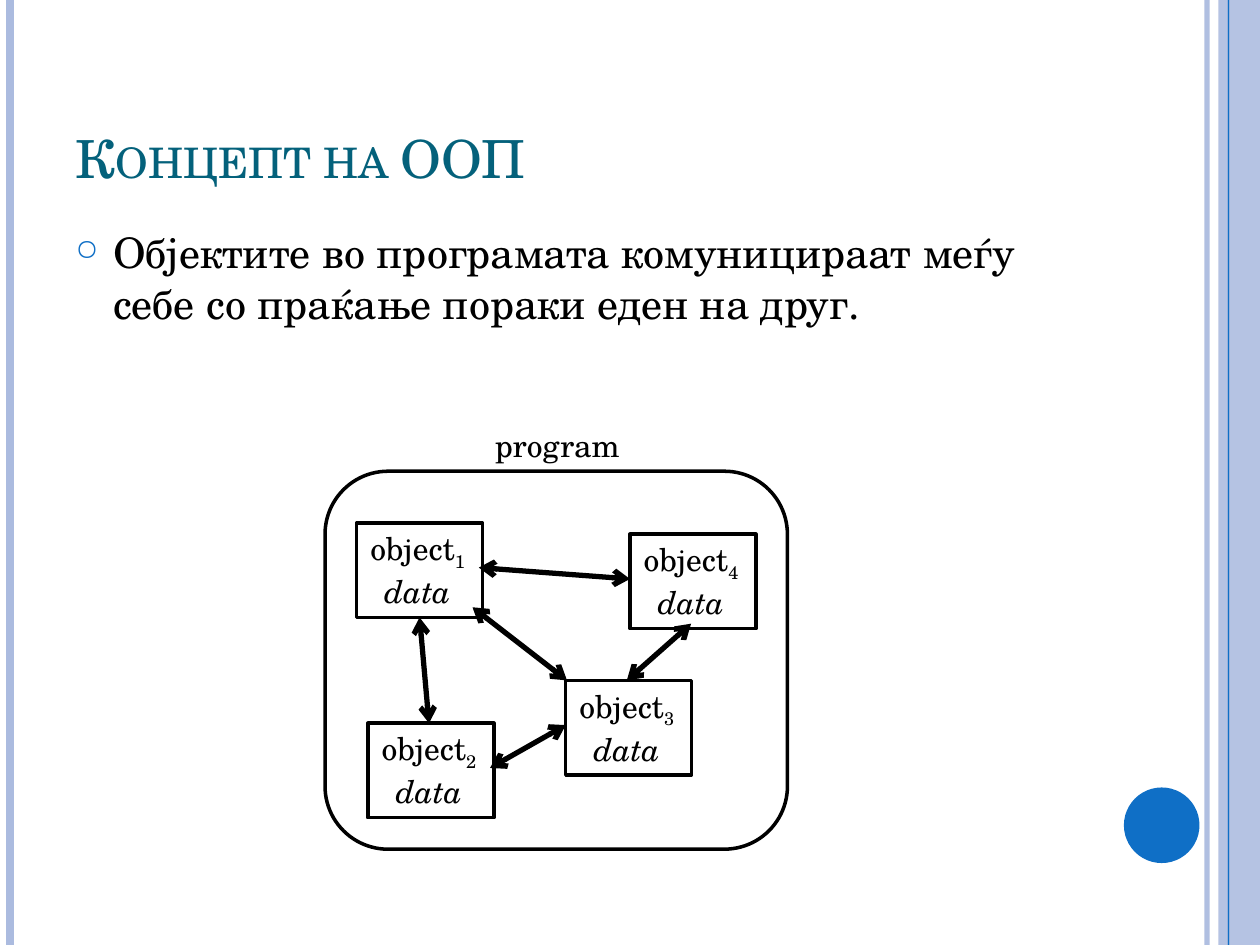
from dataclasses import dataclass
from typing import Any, Optional

import pptx
import pptx.dml.color
import pptx.enum.shapes
import pptx.enum.text
import pptx.oxml.ns
import pptx.oxml.xmlchemy
import pptx.util

Inches = pptx.util.Inches
Shape = pptx.enum.shapes.MSO_SHAPE
Align = pptx.enum.text.PP_ALIGN
Anchor = pptx.enum.text.MSO_ANCHOR
AutoSize = pptx.enum.text.MSO_AUTO_SIZE

FONT = "TeX Gyre Schola"
BLACK, BLUE, PALE, TEAL = "000000", "0F6FC6", "ABBBDF", "04617B"
TOP, LEFT, BOTTOM, RIGHT = range(4)


@dataclass(frozen=True)
class Rule:
    x: float
    color: str
    width: float
    opacity: int = 100


@dataclass(frozen=True)
class ObjectBox:
    number: str
    left: float
    top: float


@dataclass(frozen=True)
class Message:
    sender: Any
    sender_side: int
    receiver: Any
    receiver_side: int


def paint(color_format: Any, color: str) -> None:
    color_format.rgb = pptx.dml.color.RGBColor.from_string(color)


def add_child(parent: Any, tag: str, **attributes: str) -> Any:
    child = parent.makeelement(pptx.oxml.ns.qn(tag), attributes)
    parent.append(child)
    return child


def set_opacity(element: Any, percent: int) -> None:
    for color in element.iter(pptx.oxml.ns.qn("a:srgbClr")):
        add_child(color, "a:alpha", val=str(percent * 1000))


def apply(target: Any, values: dict[str, Any]) -> None:
    for name, value in values.items():
        setattr(target, name, value)


def add_line(page: Any, start: tuple, end: tuple, color: str, width: float) -> Any:
    line = page.shapes.add_connector(
        pptx.enum.shapes.MSO_CONNECTOR.STRAIGHT, *map(Inches, start + end)
    )
    paint(line.line.color, color)
    line.line.width = pptx.util.Pt(width)
    add_child(line._element.spPr, "a:effectLst")
    return line


def add_rule(page: Any, rule: Rule) -> None:
    line = add_line(page, (rule.x, 0), (rule.x, 7.5), rule.color, rule.width)
    if rule.opacity < 100:
        set_opacity(line._element.spPr, rule.opacity)


def add_arrow(page: Any, start: tuple, end: tuple) -> Any:
    arrow = add_line(page, start, end, BLACK, 3)
    outline = arrow.line._get_or_add_ln()
    for tag in ("a:headEnd", "a:tailEnd"):
        add_child(outline, tag, type="arrow")
    return arrow


def add_message(page: Any, message: Message) -> None:
    arrow = add_arrow(page, (0, 0), (1, 1))
    arrow.begin_connect(message.sender, message.sender_side)
    arrow.end_connect(message.receiver, message.receiver_side)


def add_figure(page: Any, kind: Any, place: tuple, fill: Optional[str] = None) -> Any:
    figure = page.shapes.add_shape(kind, *map(Inches, place))
    figure.shadow.inherit = False
    if fill:
        figure.fill.solid()
        paint(figure.fill.fore_color, fill)
        figure.line.fill.background()
    else:
        figure.fill.background()
        paint(figure.line.color, BLACK)
        figure.line.width = pptx.util.Pt(2)
    return figure


def add_text_box(page: Any, place: tuple, **values: Any) -> Any:
    box = page.shapes.add_textbox(*map(Inches, place))
    apply(box.text_frame, {"word_wrap": True, **values})
    return box


def add_span(para: Any, text: str, size: float, color: str = BLACK, **values: Any) -> Any:
    span = para.add_run()
    span.text = text
    apply(span.font, {"name": FONT, "size": pptx.util.Pt(size), **values})
    paint(span.font.color, color)
    return span


def add_label(page: Any, item: ObjectBox) -> Any:
    label = add_text_box(
        page, (item.left, item.top, 0.97, 0.71),
        word_wrap=False, auto_size=AutoSize.SHAPE_TO_FIT_TEXT,
    )
    name = label.text_frame.paragraphs[0]
    data = label.text_frame.add_paragraph()
    for para in (name, data):
        para.alignment = Align.CENTER
    add_span(name, "object", 18)
    number = add_span(name, item.number, 18)
    number.font._element.set("baseline", "-25000")
    add_span(data, "data", 18, italic=True)
    return label


def add_side_bands(page: Any) -> None:
    for rule in (Rule(9.58, PALE, 3, 93), Rule(0.08, PALE, 4.5), Rule(9.75, BLUE, 1.5)):
        add_rule(page, rule)
    band = add_figure(page, Shape.RECTANGLE, (9.67, 0, 0.33, 7.5), PALE)
    set_opacity(band._element.spPr, 87)
    add_rule(page, Rule(9.75, BLUE, 0.75))
    add_figure(page, Shape.OVAL, (8.92, 6.25, 0.6, 0.6), BLUE)


def add_heading(page: Any) -> None:
    title = add_text_box(page, (0.5, 0.3, 8.17, 1.25), vertical_anchor=Anchor.BOTTOM)
    span = add_span(title.text_frame.paragraphs[0], "Концепт на ООП", 30, TEAL)
    span.font._element.set("cap", "small")

    body = add_text_box(page, (0.5, 1.75, 8.17, 5.33))
    para = body.text_frame.paragraphs[0]
    para.space_before = pptx.util.Pt(6)
    add_span(
        para,
        "Објектите во програмата комуницираат меѓу себе со праќање пораки еден на друг.",
        24,
    )
    properties = para._p.get_or_add_pPr()
    properties.set("marL", str(Inches(0.3)))
    properties.set("indent", str(Inches(-0.3)))
    add_child(add_child(properties, "a:buClr"), "a:srgbClr", val=BLUE)
    add_child(properties, "a:buSzPct", val="70000")
    add_child(properties, "a:buChar", char="○")


def add_program(page: Any) -> None:
    add_figure(page, Shape.ROUNDED_RECTANGLE, (2.58, 3.74, 3.67, 3))
    caption = add_text_box(
        page, (3.83, 3.33, 1.2, 0.4),
        word_wrap=False, auto_size=AutoSize.SHAPE_TO_FIT_TEXT,
    )
    add_span(caption.text_frame.paragraphs[0], "program", 18)

    items = (
        ObjectBox("1", 2.83, 4.15),
        ObjectBox("2", 2.92, 5.74),
        ObjectBox("3", 4.49, 5.4),
        ObjectBox("4", 5, 4.24),
    )
    frames = [add_figure(page, Shape.RECTANGLE, (i.left, i.top, 1, 0.75)) for i in items]
    first, second, third, fourth = [add_label(page, item) for item in items]
    for message in (
        Message(first, RIGHT, fourth, LEFT),
        Message(frames[0], BOTTOM, second, TOP),
        Message(third, LEFT, second, RIGHT),
        Message(fourth, BOTTOM, third, TOP),
    ):
        add_message(page, message)
    add_arrow(page, (3.75, 4.82), (4.5, 5.4))


def main() -> None:
    deck = pptx.Presentation()
    deck.slide_width, deck.slide_height = Inches(10), Inches(7.5)
    page = deck.slides.add_slide(deck.slide_layouts[6])
    add_side_bands(page)
    add_heading(page)
    add_program(page)
    deck.save("out.pptx")


if __name__ == "__main__":
    main()
